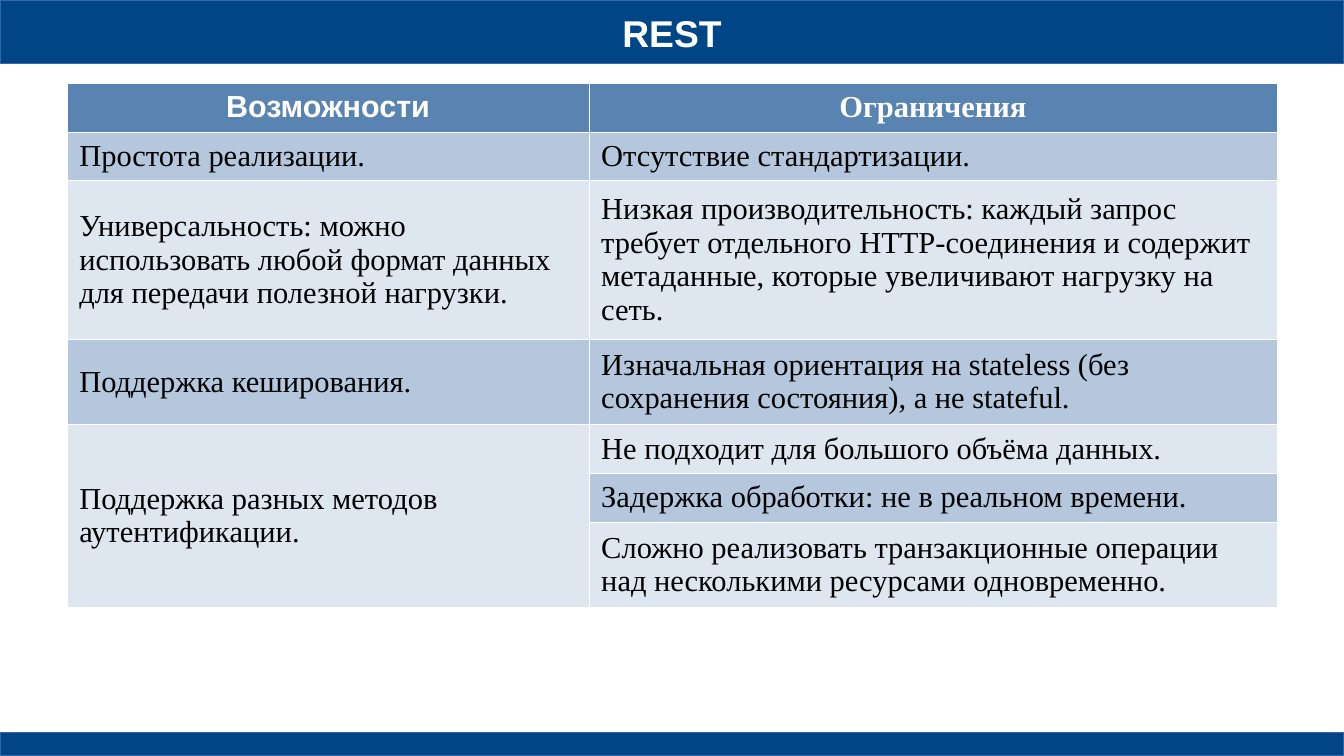
"""Build the REST slide: a title band, a table of features and limits, a foot band."""
import pptx
import pptx.dml.color
import pptx.enum.shapes
import pptx.enum.text
import pptx.oxml
import pptx.oxml.ns
import pptx.util

Inches = pptx.util.Inches
Pt = pptx.util.Pt
ALIGN = pptx.enum.text.PP_ALIGN
MIDDLE = pptx.enum.text.MSO_ANCHOR.MIDDLE

COLORS = {
    "band": "004586",
    "edge": "3465AF",
    "head": "5983B0",
    "dark": "B4C7DC",
    "light": "DEE6EF",
    "white": "FFFFFF",
    "black": "000000",
}
WIDTH, HEIGHT = 11.02, 6.2
SERIF, SANS = "Times New Roman", "Arial"
COLS = [4.28, 5.64]
ROWS = [
    (0.4, "Возможности", "Ограничения"),
    (0.4, "Простота реализации.", "Отсутствие стандартизации."),
    (1.3, "Универсальность: можно использовать любой формат данных для передачи полезной нагрузки.",
     "Низкая производительность: каждый запрос требует отдельного HTTP-соединения и содержит "
     "метаданные, которые увеличивают нагрузку на сеть."),
    (0.7, "Поддержка кеширования.",
     "Изначальная ориентация на stateless (без сохранения состояния), а не stateful."),
    (0.4, "Поддержка разных методов аутентификации.", "Не подходит для большого объёма данных."),
    (0.4, "", "Задержка обработки: не в реальном времени."),
    (0.7, "", "Сложно реализовать транзакционные операции над несколькими ресурсами одновременно."),
]


def color(name):
    return pptx.dml.color.RGBColor.from_string(COLORS[name])


def paint(target, name):
    target.fill.solid()
    target.fill.fore_color.rgb = color(name)


def write(frame, text, size, face, tint, bold, align):
    para = frame.paragraphs[0]
    para.alignment = align
    run = para.add_run()
    run.text = text
    run.font.name = face
    run.font.size = Pt(size)
    run.font.bold = bold
    run.font.color.rgb = color(tint)


def add_title(slide, text):
    title = slide.shapes.title
    title.left, title.top = Inches(0), Inches(0)
    title.width, title.height = Inches(WIDTH), Inches(0.53)
    frame = title.text_frame
    frame.margin_left = frame.margin_right = frame.margin_top = frame.margin_bottom = 0
    frame.vertical_anchor = MIDDLE
    frame.auto_size = pptx.enum.text.MSO_AUTO_SIZE.NONE
    write(frame, text, 22, SANS, "white", True, ALIGN.CENTER)


def add_band(slide, top, height):
    band = slide.shapes.add_shape(
        pptx.enum.shapes.MSO_SHAPE.RECTANGLE,
        Inches(0), Inches(top), Inches(WIDTH), Inches(height))
    band.shadow.inherit = False
    paint(band, "band")
    band.line.color.rgb = color("edge")
    band.line.width = 0
    slide.shapes.title.element.addprevious(band.element)


def add_edges(cell):
    props = cell._tc.get_or_add_tcPr()
    space = pptx.oxml.ns.nsdecls("a")
    for side in "LRTB":
        props.append(pptx.oxml.parse_xml(
            f'<a:ln{side} {space} w="{Pt(0.06)}"><a:solidFill>'
            f'<a:srgbClr val="{COLORS["white"]}"/></a:solidFill></a:ln{side}>'))


def fill_cell(cell, row, col, text):
    head = row == 0
    add_edges(cell)
    shade = "dark" if row % 2 else "light"
    paint(cell, "head" if head else shade)
    cell.vertical_anchor = MIDDLE
    if text:
        write(cell.text_frame, text, 18, SANS if head and col == 0 else SERIF,
              "white" if head else "black", head, ALIGN.CENTER if head else ALIGN.LEFT)


def add_grid(slide):
    total = sum(row[0] for row in ROWS)
    table = slide.shapes.add_table(
        len(ROWS), len(COLS), Inches(0.55), Inches(0.68),
        Inches(sum(COLS)), Inches(total)).table
    for col, width in enumerate(COLS):
        table.columns[col].width = Inches(width)
    for row, (height, *texts) in enumerate(ROWS):
        table.rows[row].height = Inches(height)
        for col, text in enumerate(texts):
            fill_cell(table.cell(row, col), row, col, text)
    table.cell(4, 0).merge(table.cell(6, 0))


def main():
    deck = pptx.Presentation()
    deck.slide_width, deck.slide_height = Inches(WIDTH), Inches(HEIGHT)
    slide = deck.slides.add_slide(deck.slide_layouts[5])
    add_band(slide, 0, 0.52)
    add_band(slide, 6.01, 0.19)
    add_title(slide, "REST")
    add_grid(slide)
    deck.save("out.pptx")


if __name__ == "__main__":
    main()
